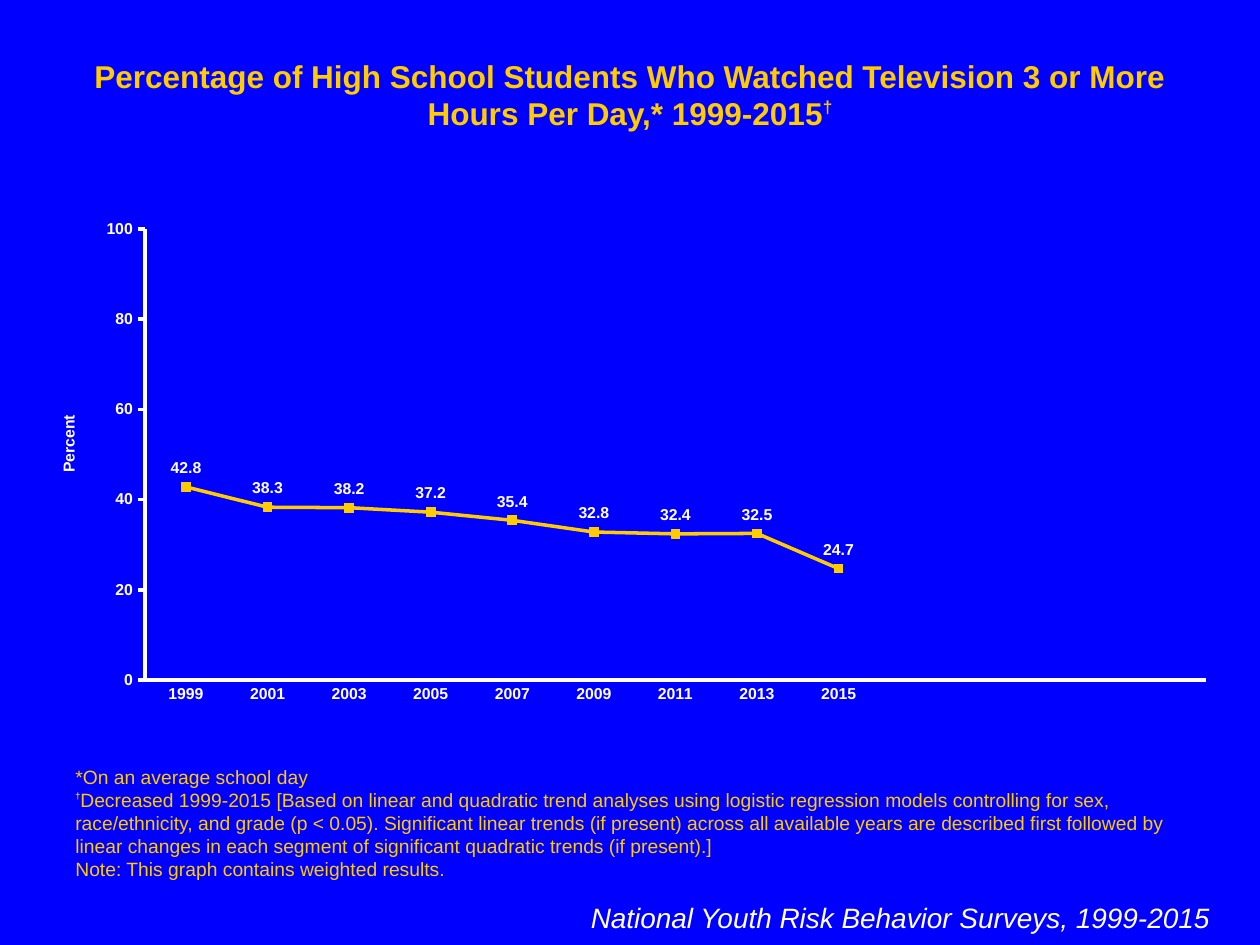
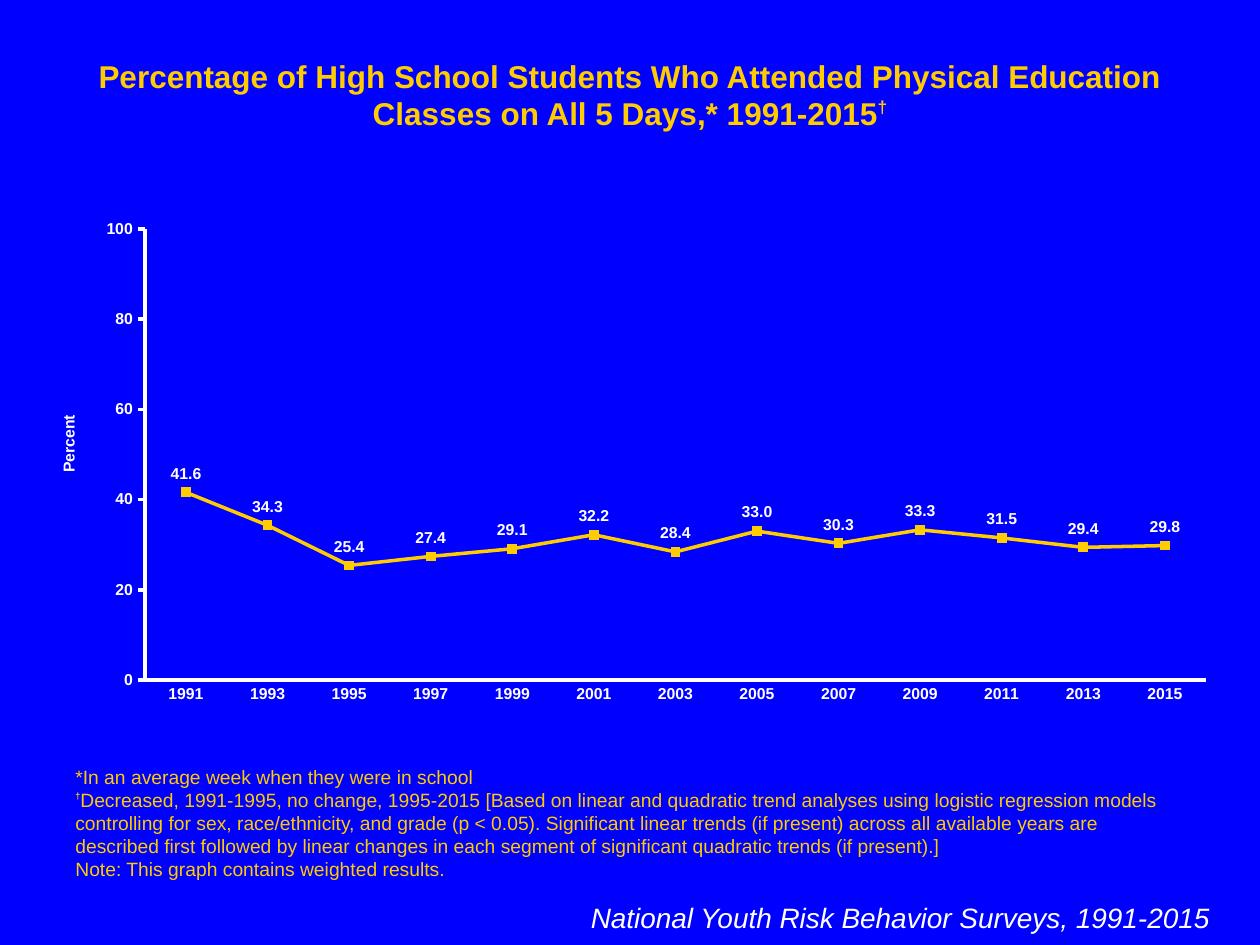
from lxml import etree
from pptx import Presentation
from pptx.chart.data import CategoryChartData
from pptx.dml.color import RGBColor
from pptx.enum.chart import XL_CHART_TYPE, XL_LABEL_POSITION, XL_MARKER_STYLE, XL_TICK_MARK
from pptx.enum.text import MSO_ANCHOR, MSO_AUTO_SIZE, PP_ALIGN
from pptx.oxml.ns import qn
from pptx.util import Pt

LINE_MARKERS = XL_CHART_TYPE.LINE_MARKERS
LABEL_ABOVE = XL_LABEL_POSITION.ABOVE
SQUARE = XL_MARKER_STYLE.SQUARE
TICK_NONE, TICK_OUTSIDE = XL_TICK_MARK.NONE, XL_TICK_MARK.OUTSIDE
TOP, BOTTOM = MSO_ANCHOR.TOP, MSO_ANCHOR.BOTTOM
GROW = MSO_AUTO_SIZE.SHAPE_TO_FIT_TEXT
LEFT, CENTER, RIGHT = PP_ALIGN.LEFT, PP_ALIGN.CENTER, PP_ALIGN.RIGHT

COLORS = {"background": "0000FF", "accent": "FFCC00", "text": "FFFFFF"}
FONT = "Arial"
CATEGORY_COUNT = 13
LAST_YEAR = 2015
TREND_METHOD = (
    "[Based on linear and quadratic trend analyses using logistic regression models "
    "controlling for sex, race/ethnicity, and grade (p < 0.05). Significant linear trends "
    "(if present) across all available years are described first followed by linear changes "
    "in each segment of significant quadratic trends (if present).]"
)
WEIGHTED_NOTE = "Note: This graph contains weighted results."

SURVEYS = [
    {
        "first_year": 1999,
        "behavior": "Watched Television 3 or More Hours Per Day",
        "scope": "*On an average school day",
        "trend": "Decreased 1999-2015",
        "percentages": [42.8, 38.3, 38.2, 37.2, 35.4, 32.8, 32.4, 32.5, 24.7],
    },
    {
        "first_year": 1991,
        "behavior": "Attended Physical Education Classes on All 5 Days",
        "scope": "*In an average week when they were in school",
        "trend": "Decreased, 1991-1995, no change, 1995-2015",
        "percentages": [41.6, 34.3, 25.4, 27.4, 29.1, 32.2, 28.4, 33.0, 30.3, 33.3,
                        31.5, 29.4, 29.8],
    },
]


def color(name):
    """Return the named colour."""
    return RGBColor.from_string(COLORS[name])


def style_font(font, size, color_name, bold=False, italic=False):
    """Apply the shared typeface with a size, colour and weight."""
    font.name = FONT
    font.size = Pt(size)
    font.bold = bold
    font.italic = italic
    font.color.rgb = color(color_name)


def add_text_frame(slide, left, top, width, height, anchor=TOP):
    """Add a wrapping text box that grows with its text."""
    text_frame = slide.shapes.add_textbox(Pt(left), Pt(top), Pt(width), Pt(height)).text_frame
    text_frame.word_wrap = True
    text_frame.auto_size = GROW
    text_frame.vertical_anchor = anchor
    return text_frame


def add_run(paragraph, text):
    """Add a run of text."""
    run = paragraph.add_run()
    run.text = text
    return run


def add_dagger(paragraph, size, raise_percent):
    """Add a bold raised dagger."""
    run = add_run(paragraph, "†")
    run.font.size = Pt(size)
    run.font.bold = True
    run.font._element.set("baseline", str(raise_percent * 1000))


def add_title(slide, text):
    """Add the centred slide title with its dagger."""
    paragraph = add_text_frame(slide, 36, 28.8, 648, 28.8).paragraphs[0]
    paragraph.alignment = CENTER
    style_font(paragraph.font, 18, "accent", bold=True)
    add_run(paragraph, text)
    add_dagger(paragraph, 17, 40)


def add_notes(slide, scope, trend):
    """Add the footnotes on scope, trend and weighting."""
    text_frame = add_text_frame(slide, 36, 486, 648, 20.88, BOTTOM)
    for index, text in enumerate([scope, f"{trend} {TREND_METHOD}", WEIGHTED_NOTE]):
        paragraph = text_frame.add_paragraph() if index else text_frame.paragraphs[0]
        paragraph.alignment = LEFT
        style_font(paragraph.font, 11, "accent")
        if index == 1:
            add_dagger(paragraph, 9, 50)
        add_run(paragraph, text)


def add_source(slide, period):
    """Add the survey name at the lower right."""
    paragraph = add_text_frame(slide, 326.16, 511.2, 372.24, 26.64).paragraphs[0]
    paragraph.alignment = RIGHT
    style_font(paragraph.font, 16, "text", italic=True)
    add_run(paragraph, f"National Youth Risk Behavior Surveys, {period}")


def set_layout(element, index, **settings):
    """Give a chart part a manual layout as fractions of the chart."""
    for old_layout in element.findall(qn("c:layout")):
        element.remove(old_layout)
    layout = etree.Element(qn("c:layout"))
    manual = etree.SubElement(layout, qn("c:manualLayout"))
    for name, value in settings.items():
        etree.SubElement(manual, qn(f"c:{name}")).set("val", str(value))
    element.insert(index, layout)


def style_axis(axis, tick_mark):
    """Style an axis line, its ticks and its labels."""
    axis.has_major_gridlines = False
    axis.major_tick_mark = tick_mark
    axis.minor_tick_mark = TICK_NONE
    axis.format.line.color.rgb = color("text")
    axis.format.line.width = Pt(2)
    style_font(axis.tick_labels.font, 9, "text", bold=True)


def style_value_axis(axis):
    """Set the percent scale and its title."""
    style_axis(axis, TICK_OUTSIDE)
    axis.minimum_scale = 0
    axis.maximum_scale = 100
    axis.major_unit = 20
    axis.tick_labels.number_format = "#,##0"
    axis.tick_labels.number_format_is_linked = False
    axis.has_title = True
    paragraph = axis.axis_title.text_frame.paragraphs[0]
    style_font(add_run(paragraph, "Percent").font, 9, "text", bold=True)
    set_layout(axis.axis_title._element, 1, xMode="edge", yMode="edge", x=0.02, y=0.4)


def style_series(series):
    """Style the trend line, its markers and its labels."""
    series.smooth = False
    series.format.line.color.rgb = color("accent")
    series.format.line.width = Pt(2)
    series.marker.style = SQUARE
    series.marker.size = 5
    series.marker.format.fill.solid()
    series.marker.format.fill.fore_color.rgb = color("accent")
    series.marker.format.line.color.rgb = color("accent")
    labels = series.data_labels
    labels.show_value = True
    labels.position = LABEL_ABOVE
    labels.number_format = "#,##0.0"
    labels.number_format_is_linked = False
    style_font(labels.font, 9, "text", bold=True)


def add_trend_chart(slide, first_year, percentages):
    """Add the line chart of percentages in every second year."""
    padding = CATEGORY_COUNT - len(percentages)
    years = [str(year) for year in range(first_year, LAST_YEAR + 1, 2)]
    chart_data = CategoryChartData()
    chart_data.categories = years + [""] * padding
    chart_data.add_series("Series 1", percentages + [None] * padding)
    chart = slide.shapes.add_chart(
        LINE_MARKERS, Pt(18), Pt(120.24), Pt(684), Pt(288), chart_data
    ).chart
    chart.has_title = False
    chart.has_legend = False
    style_font(chart.font, 18, "text")
    chart.plots[0].vary_by_categories = False
    style_axis(chart.category_axis, TICK_NONE)
    style_value_axis(chart.value_axis)
    style_series(chart.plots[0].series[0])
    plot_area = chart._chartSpace.find(f".//{qn('c:plotArea')}")
    set_layout(plot_area, 0, layoutTarget="inner", xMode="edge", yMode="edge",
               x=0.095, y=0.037, w=0.886, h=0.895)


def add_survey_slide(presentation, survey):
    """Add the slide for one surveyed behavior."""
    slide = presentation.slides.add_slide(presentation.slide_layouts[6])
    period = f"{survey['first_year']}-{LAST_YEAR}"
    add_title(
        slide, f"Percentage of High School Students Who {survey['behavior']},* {period}"
    )
    add_notes(slide, survey["scope"], survey["trend"])
    add_source(slide, period)
    add_trend_chart(slide, survey["first_year"], survey["percentages"])


def main():
    """Build and save the presentation."""
    presentation = Presentation()
    presentation.slide_width = Pt(720)
    presentation.slide_height = Pt(540)
    background = presentation.slide_master.background.fill
    background.solid()
    background.fore_color.rgb = color("background")
    for survey in SURVEYS:
        add_survey_slide(presentation, survey)
    presentation.save("out.pptx")


if __name__ == "__main__":
    main()
